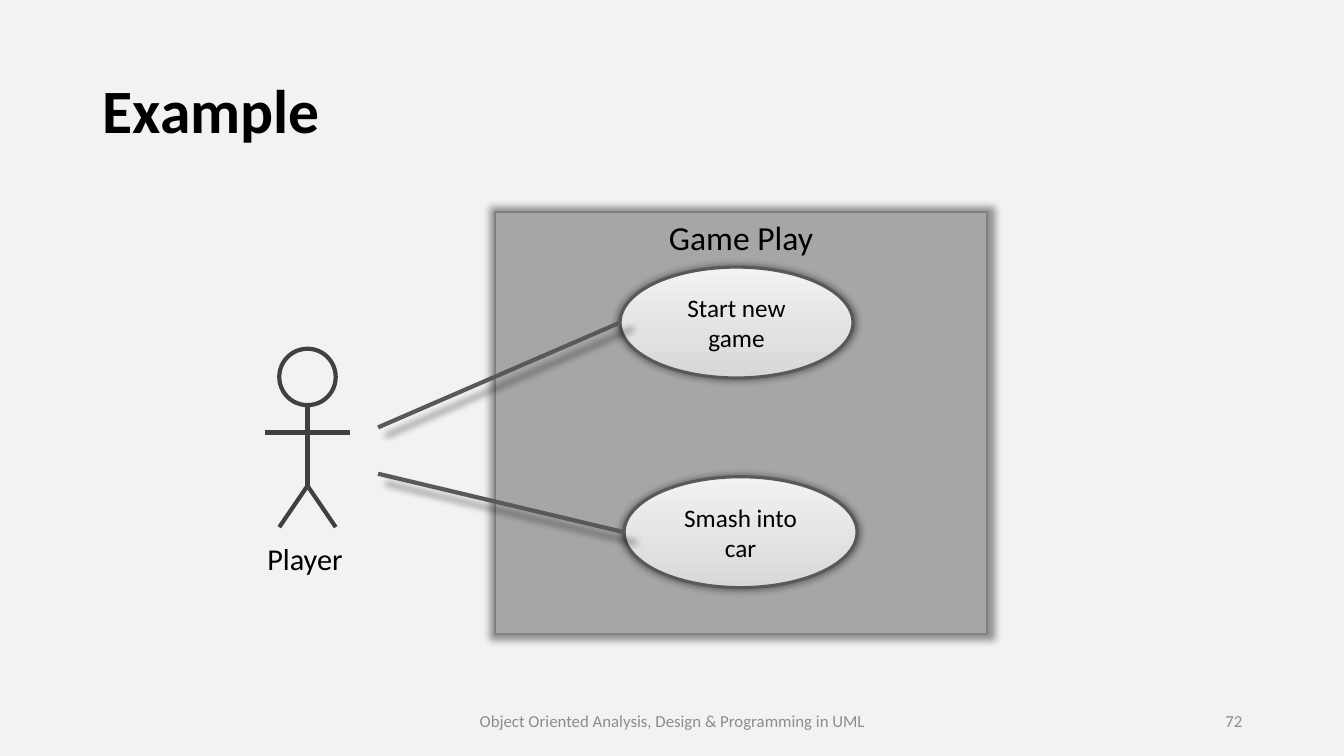
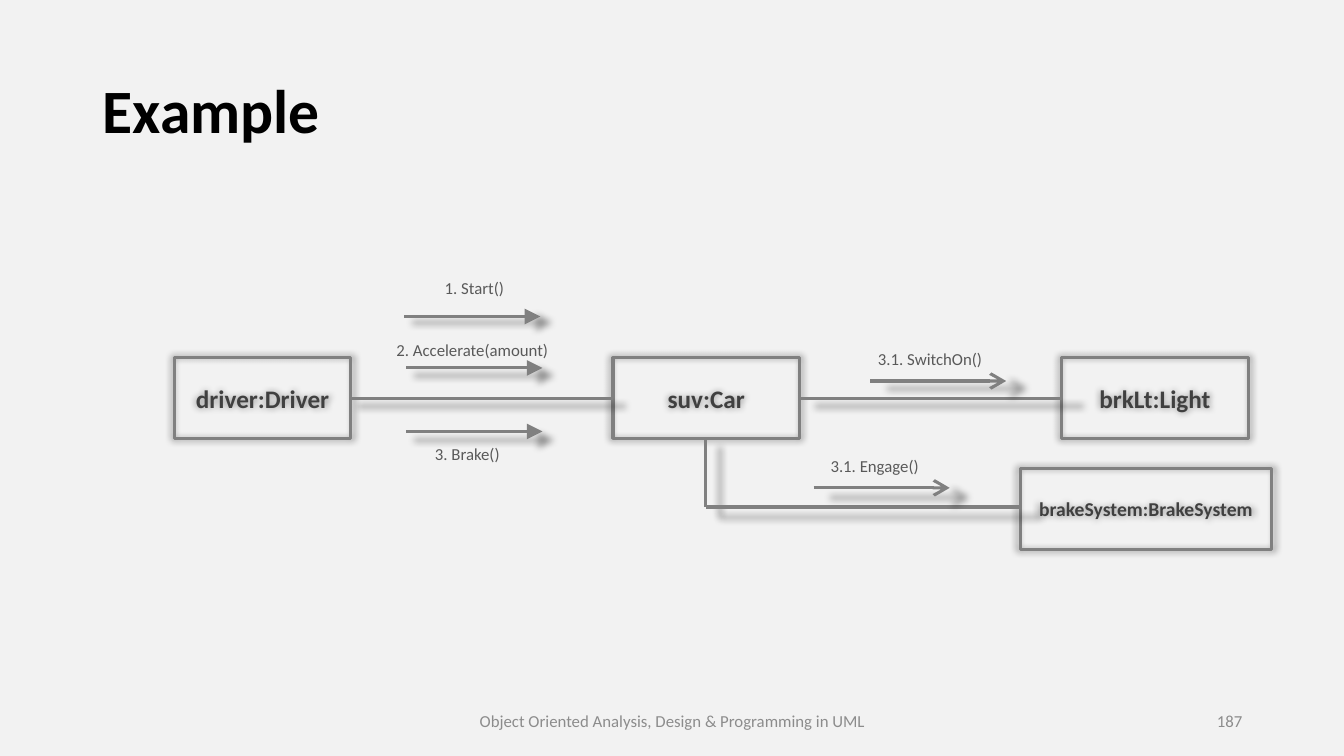
from collections import namedtuple

from lxml import etree
from pptx import Presentation
from pptx.dml.color import RGBColor
from pptx.enum.shapes import MSO_CONNECTOR, MSO_SHAPE
from pptx.enum.text import MSO_ANCHOR, PP_ALIGN
from pptx.oxml.ns import qn
from pptx.util import Pt

SCALE = 9144
FONT = "Calibri"
LEFT, CENTER, RIGHT = PP_ALIGN.LEFT, PP_ALIGN.CENTER, PP_ALIGN.RIGHT
TOP, MIDDLE = MSO_ANCHOR.TOP, MSO_ANCHOR.MIDDLE
RECTANGLE, OVAL = MSO_SHAPE.RECTANGLE, MSO_SHAPE.OVAL
STRAIGHT = MSO_CONNECTOR.STRAIGHT

COLORS = {
    "background": "F2F2F2",
    "black": "000000",
    "dark": "404040",
    "medium": "595959",
    "gray": "808080",
    "footer": "8C8C8C",
    "system": "A6A6A6",
    "oval_bottom": "D8D8D8",
    "oval_top": "F2F2F2",
}

Box = namedtuple("Box", "x y w h")
Span = namedtuple("Span", "text size color bold", defaults=("black", False))


def px(length):
    """Turn px into EMU."""
    return int(length * SCALE)


def rgb(name):
    """Look up a colour by name."""
    return RGBColor.from_string(COLORS[name])


def inside(box, x, y, w, h):
    """Return a box placed relative to another box."""
    return Box(box.x + x, box.y + y, w, h)


def write(frame, span, align=CENTER, anchor=MIDDLE):
    """Write one paragraph into a text frame."""
    frame.word_wrap = True
    frame.vertical_anchor = anchor
    para = frame.paragraphs[0]
    para.alignment = align
    run = para.add_run()
    run.text = span.text
    run.font.name = FONT
    run.font.size = Pt(span.size)
    run.font.bold = span.bold
    run.font.color.rgb = rgb(span.color)
    return para


def add_text(page, box, span, align=CENTER, anchor=MIDDLE):
    """Add a text box."""
    label = page.shapes.add_textbox(*map(px, box))
    write(label.text_frame, span, align, anchor)


def set_shadow(shape, visible=True):
    """Give a shape a soft centred shadow, or none."""
    properties = shape._element.spPr
    effects = etree.SubElement(properties, qn("a:effectLst"))
    if visible:
        shadow = etree.SubElement(effects, qn("a:outerShdw"), blurRad="63500",
                                  sx="102000", sy="102000", algn="ctr", rotWithShape="0")
        color = etree.SubElement(shadow, qn("a:srgbClr"), val=COLORS["black"])
        etree.SubElement(color, qn("a:alpha"), val="40000")


def add_outline(page, kind, box, color, width, shadow=True):
    """Add an unfilled shape with a coloured outline."""
    shape = page.shapes.add_shape(kind, *map(px, box))
    shape.fill.background()
    shape.line.color.rgb = rgb(color)
    shape.line.width = Pt(width)
    set_shadow(shape, shadow)
    return shape


def add_line(page, start, end, color="gray", width=2.25, head=None, shadow=True):
    """Add a straight line with an optional arrowhead."""
    line = page.shapes.add_connector(STRAIGHT, *map(px, (*start, *end)))
    line.line.color.rgb = rgb(color)
    line.line.width = Pt(width)
    if head:
        outline = line._element.spPr.find(qn("a:ln"))
        etree.SubElement(outline, qn("a:tailEnd"), type=head, w="lg", len="lg")
    set_shadow(line, shadow)


def add_page(deck, title, number):
    """Add a slide with title and footer."""
    page = deck.slides.add_slide(deck.slide_layouts[5])
    heading = page.shapes.title
    heading.left, heading.top, heading.width, heading.height = map(px, (92, 40, 1150, 145))
    para = write(heading.text_frame, Span(title, 44, bold=True), LEFT)
    para.line_spacing = 0.9

    footer = "Object Oriented Analysis, Design & Programming in UML"
    add_text(page, Box(442, 695, 450, 40), Span(footer, 12, "footer"))
    add_text(page, Box(942, 695, 300, 40), Span(number, 12, "footer"), RIGHT)
    return page


def add_actor(page, box, name):
    """Draw a stick figure with its name below."""
    head = box.w * 2 // 3
    middle = box.x + box.w // 2
    neck, arms, hip, feet = (box.y + step for step in (head, 83, 136, box.h))
    add_outline(page, OVAL, Box(middle - head // 2, box.y, head, head), "dark", 3, False)
    limbs = [
        ((middle, neck), (middle, hip)),
        ((box.x, arms), (box.x + box.w, arms)),
        ((middle, hip), (middle + head // 2, feet)),
        ((middle, hip), (middle - head // 2, feet)),
    ]
    for start, end in limbs:
        add_line(page, start, end, "dark", 3, shadow=False)
    add_text(page, inside(box, -39, box.h + 8, 157, 46), Span(name, 21.6), anchor=TOP)


def add_system(page, box, name, cases):
    """Draw a system with its use cases, each linked to an outside point."""
    system = add_outline(page, RECTANGLE, box, "gray", 1.5)
    system.fill.solid()
    system.fill.fore_color.rgb = rgb("system")
    write(system.text_frame, Span(name, 24), anchor=TOP)
    for text, x, y, port in cases:
        place = inside(box, x, y, 231, 110)
        oval = add_outline(page, OVAL, place, "medium", 2.25)
        oval.fill.gradient()
        oval.fill.gradient_angle = 90
        for stop, color in zip(oval.fill.gradient_stops, ("oval_bottom", "oval_top")):
            stop.color.rgb = rgb(color)
        write(oval.text_frame, Span(text, 18))
        add_line(page, port, (place.x, place.y + place.h // 2), "medium", 3)


def add_object(page, box, name, size=18):
    """Draw a named object and return its box."""
    shape = add_outline(page, RECTANGLE, box, "gray", 2.25)
    write(shape.text_frame, Span(name, size, "dark", True))
    return box


def add_message(page, box, text, label, arrow, head):
    """Draw a message label and its arrow."""
    add_text(page, inside(box, *label, 291, 30), Span(text, 12, "medium"), anchor=TOP)
    x, y = box.x + arrow[0], box.y + arrow[1]
    add_line(page, (x, y), (x + 135, y), head=head)


def add_collaboration(page, box):
    """Draw the objects, their links and the messages between them."""
    driver = add_object(page, inside(box, 0, 84, 175, 80), "driver:Driver")
    car = add_object(page, inside(box, 435, 84, 185, 80), "suv:Car")
    light = add_object(page, inside(box, 880, 84, 185, 80), "brkLt:Light")
    brake = add_object(page, inside(box, 839, 194, 249, 80), "brakeSystem:BrakeSystem", 14)

    for source, target in ((driver, car), (car, light)):
        level = source.y + source.h // 2
        add_line(page, (source.x + source.w, level), (target.x, level))
    corner = (car.x + car.w // 2, box.y + 232)
    add_line(page, (corner[0], car.y + car.h), corner)
    add_line(page, corner, (brake.x, corner[1]))

    messages = [
        ("1. Start()", (152, 0), (228, 43), "triangle"),
        ("2. Accelerate(amount)", (150, 61), (230, 94), "triangle"),
        ("3. Brake()", (145, 164), (230, 157), "triangle"),
        ("3.1. SwitchOn()", (604, 70), (690, 107), "arrow"),
        ("3.1. Engage()", (549, 176), (634, 213), "arrow"),
    ]
    for message in messages:
        add_message(page, box, *message)


def main():
    """Build the deck."""
    deck = Presentation()
    deck.slide_width, deck.slide_height = px(1333), px(750)
    backdrop = deck.slide_master.background.fill
    backdrop.solid()
    backdrop.fore_color.rgb = rgb("background")

    use_cases = add_page(deck, "Example", "72")
    add_system(use_cases, Box(491, 210, 488, 419), "Game Play", [
        ("Start new game", 124, 55, (375, 424)),
        ("Smash into car", 128, 263, (375, 470)),
    ])
    add_actor(use_cases, Box(263, 346, 84, 177), "Player")

    collaboration = add_page(deck, "Example", "187")
    add_collaboration(collaboration, Box(173, 271, 1088, 274))
    deck.save("out.pptx")


if __name__ == "__main__":
    main()
